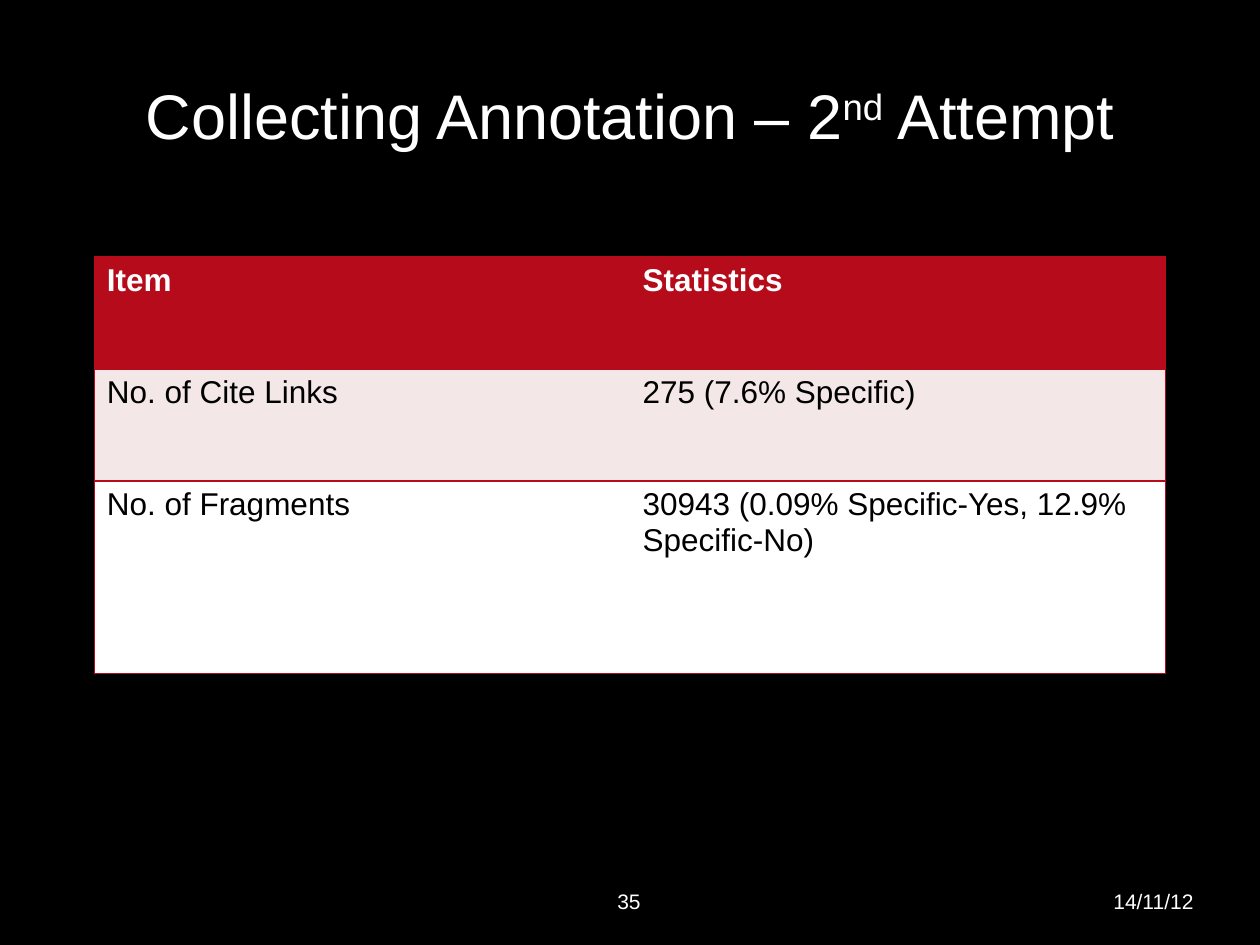
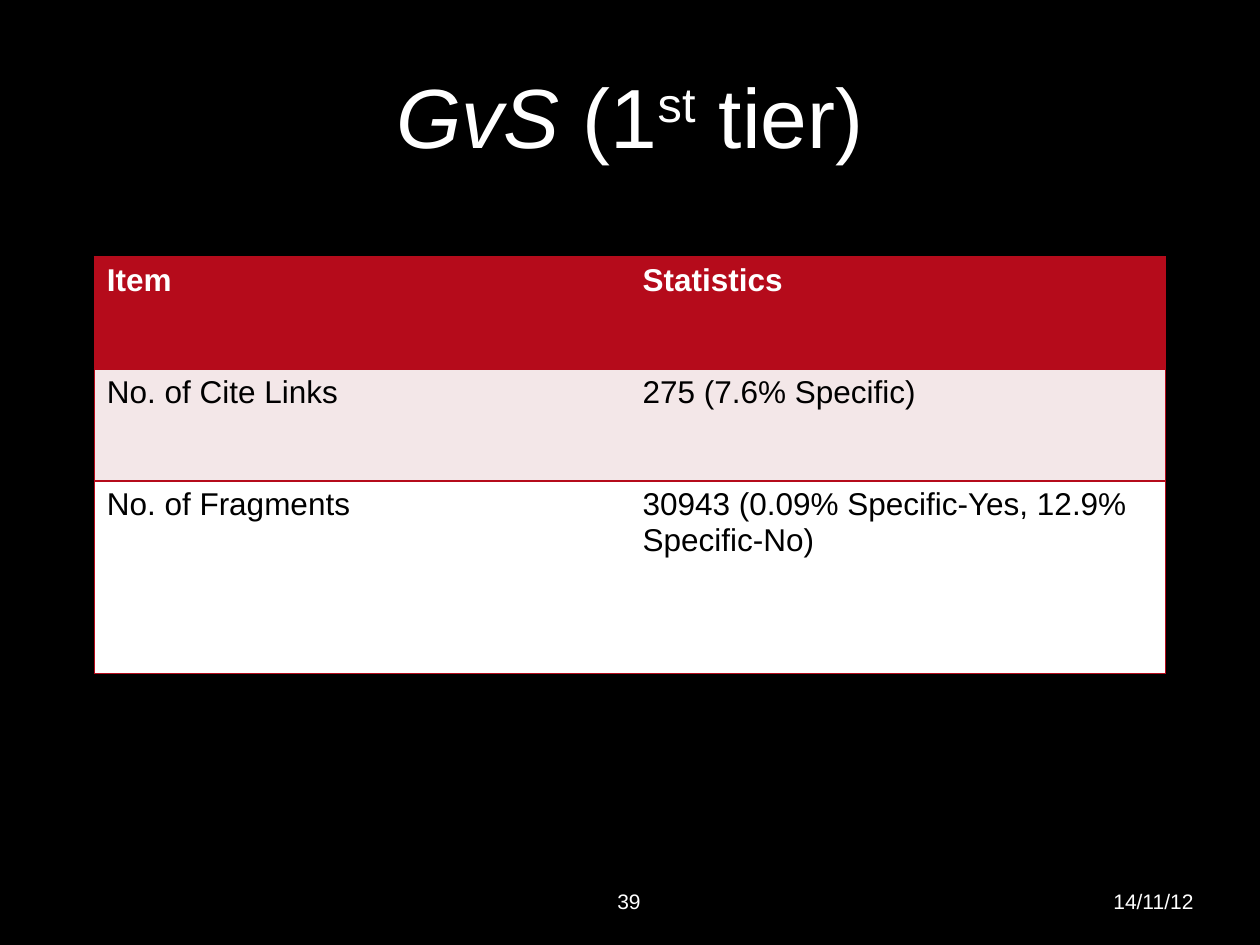
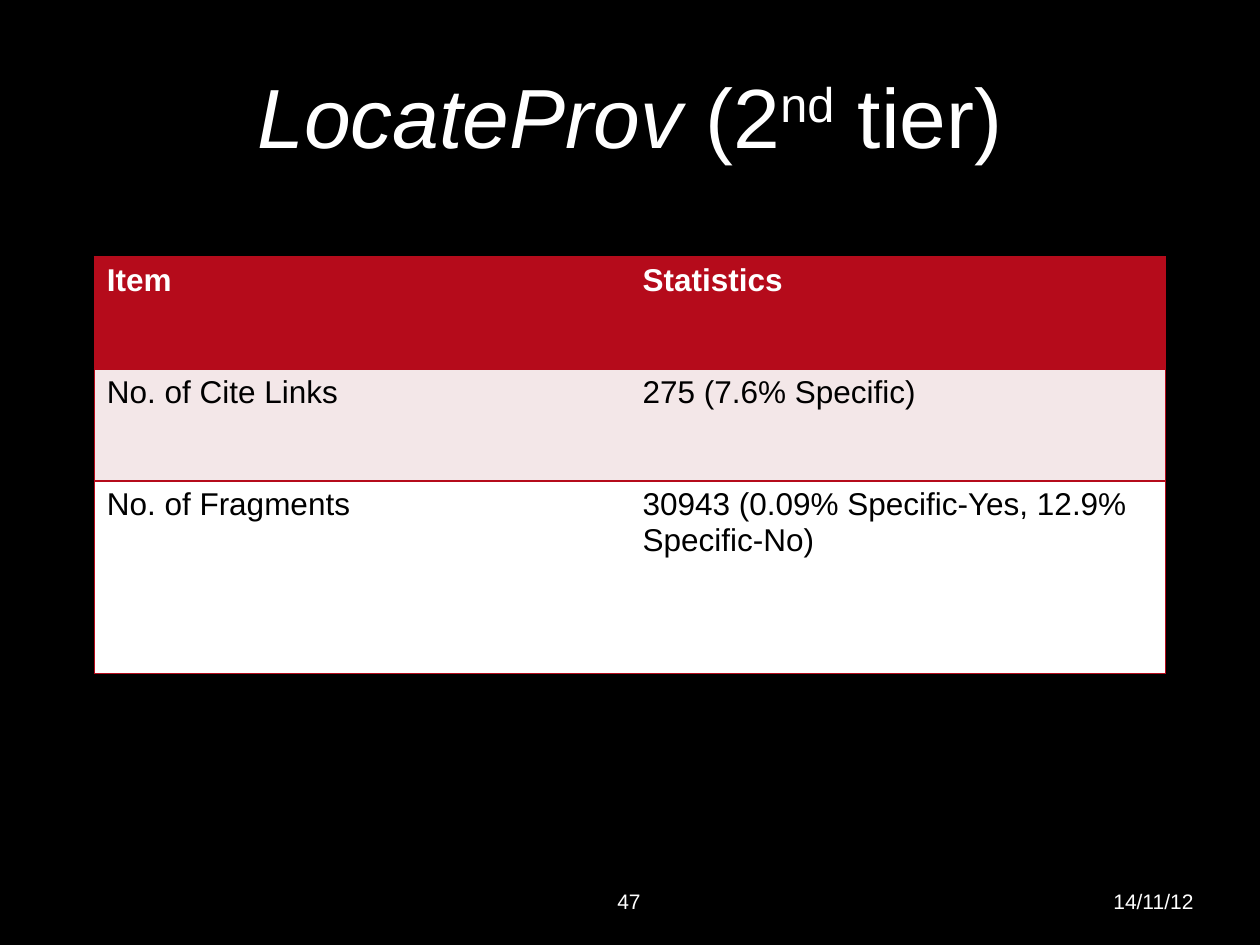
from lxml import etree
from pptx import Presentation
from pptx.dml.color import RGBColor
from pptx.enum import text
from pptx.oxml import ns
from pptx.util import Cm, Pt

BLACK = RGBColor(0x00, 0x00, 0x00)
WHITE = RGBColor(0xFF, 0xFF, 0xFF)
RED = RGBColor(0xB5, 0x0B, 0x1B)
PINK = RGBColor(0xF3, 0xE7, 0xE8)
FONT = "Arial"
NO_STYLE = "{2D5ABB26-0587-4C30-8999-92F81FD0307C}"

# Boxes shared by every slide: left, top, width, height
TITLE_BOX = (Cm(1.9), Cm(0.33), Cm(21.6), Cm(3.96))
TABLE_BOX = (Cm(1.9), Cm(5.18), Cm(21.6), Cm(8.4))
NUMBER_BOX = (Cm(11.73), Cm(17.65), Cm(1.9), Cm(1.02))
DATE_BOX = (Cm(18.39), Cm(17.65), Cm(5.92), Cm(1.02))

DATE = "14/11/12"
ROW_HEIGHTS = (Cm(2.26), Cm(2.26), Cm(3.88))
STATISTICS = [
    ("Item", "Statistics"),
    ("No. of Cite Links", "275 (7.6% Specific)"),
    ("No. of Fragments", "30943 (0.09% Specific-Yes, 12.9% Specific-No)"),
]
ROW_FILLS = (RED, PINK, WHITE)

# Title runs are (text, style) pairs; style is "", "italic" or "super"
SLIDES = [
    (35, 36, [("Collecting Annotation – 2", ""), ("nd", "super"), (" Attempt", "")]),
    (39, 48, [("GvS", "italic"), (" (1", ""), ("st", "super"), (" tier)", "")]),
    (47, 48, [("LocateProv", "italic"), (" (2", ""), ("nd", "super"), (" tier)", "")]),
]


def format_paragraph(p, size, color, align, bold=False):
    p.alignment = align
    p.font.name = FONT
    p.font.size = Pt(size)
    p.font.bold = bold
    p.font.color.rgb = color


def fill_title(s, box, size, runs):
    title = s.shapes.title
    title.left, title.top, title.width, title.height = box
    tf = title.text_frame
    tf.auto_size = text.MSO_AUTO_SIZE.NONE
    tf.vertical_anchor = text.MSO_ANCHOR.MIDDLE
    p = tf.paragraphs[0]
    format_paragraph(p, size, WHITE, text.PP_ALIGN.CENTER)
    for words, style in runs:
        r = p.add_run()
        r.text = words
        if style == "italic":
            r.font.italic = True
        elif style == "super":
            r._r.get_or_add_rPr().set("baseline", "30000")


def add_footer_text(s, box, words, align):
    tf = s.shapes.add_textbox(*box).text_frame
    tf.word_wrap = True
    tf.vertical_anchor = text.MSO_ANCHOR.MIDDLE
    p = tf.paragraphs[0]
    p.text = words
    format_paragraph(p, 12, WHITE, align)


def add_borders(cell, sides):
    """Draw red lines on the sides, given in the order L, R, T, B."""
    tc_pr = cell._tc.get_or_add_tcPr()
    for side in sides:
        line = etree.SubElement(tc_pr, ns.qn(f"a:ln{side}"), w=str(Pt(1)))
        fill = etree.SubElement(line, ns.qn("a:solidFill"))
        etree.SubElement(fill, ns.qn("a:srgbClr"), val=str(RED))


def add_statistics_table(s, box):
    columns = len(STATISTICS[0])
    table = s.shapes.add_table(len(STATISTICS), columns, *box).table
    table.first_row = table.horz_banding = False
    table._tbl.tblPr.find(ns.qn("a:tableStyleId")).text = NO_STYLE
    for i, values in enumerate(STATISTICS):
        table.rows[i].height = ROW_HEIGHTS[i]
        header = i == 0
        for j, value in enumerate(values):
            cell = table.cell(i, j)
            add_borders(cell, ("L" if j == 0 else "")
                        + ("R" if j == columns - 1 else "") + "TB")
            cell.fill.solid()
            cell.fill.fore_color.rgb = ROW_FILLS[i]
            p = cell.text_frame.paragraphs[0]
            p.text = value
            format_paragraph(p, 18, WHITE if header else BLACK,
                             text.PP_ALIGN.LEFT, bold=header)


def add_statistics_slide(prs, number, title_size, title_runs):
    s = prs.slides.add_slide(prs.slide_layouts.get_by_name("Title Only"))
    fill_title(s, TITLE_BOX, title_size, title_runs)
    add_footer_text(s, DATE_BOX, DATE, text.PP_ALIGN.RIGHT)
    add_footer_text(s, NUMBER_BOX, str(number), text.PP_ALIGN.CENTER)
    add_statistics_table(s, TABLE_BOX)


def main():
    prs = Presentation()
    prs.slide_width, prs.slide_height = Cm(25.4), Cm(19.05)
    background = prs.slide_master.background.fill
    background.solid()
    background.fore_color.rgb = BLACK
    for number, title_size, title_runs in SLIDES:
        add_statistics_slide(prs, number, title_size, title_runs)
    prs.save("out.pptx")


if __name__ == "__main__":
    main()
